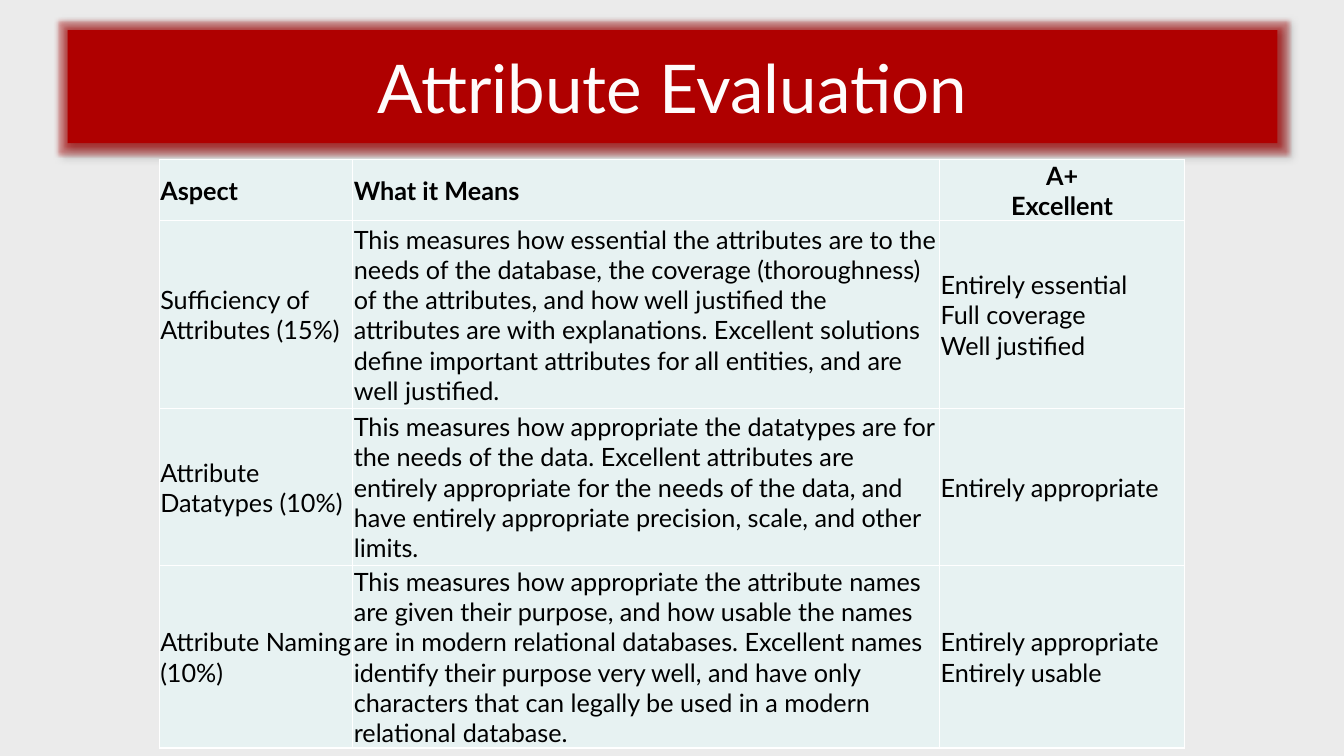
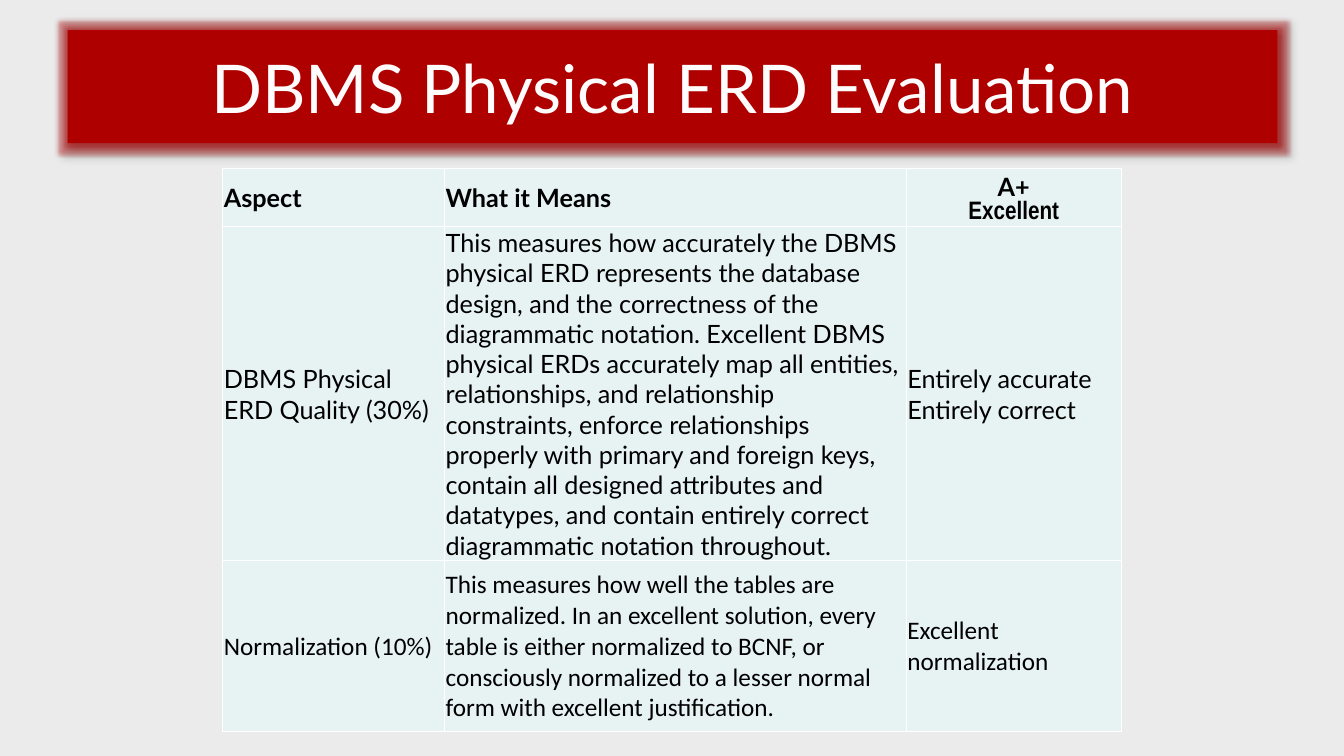
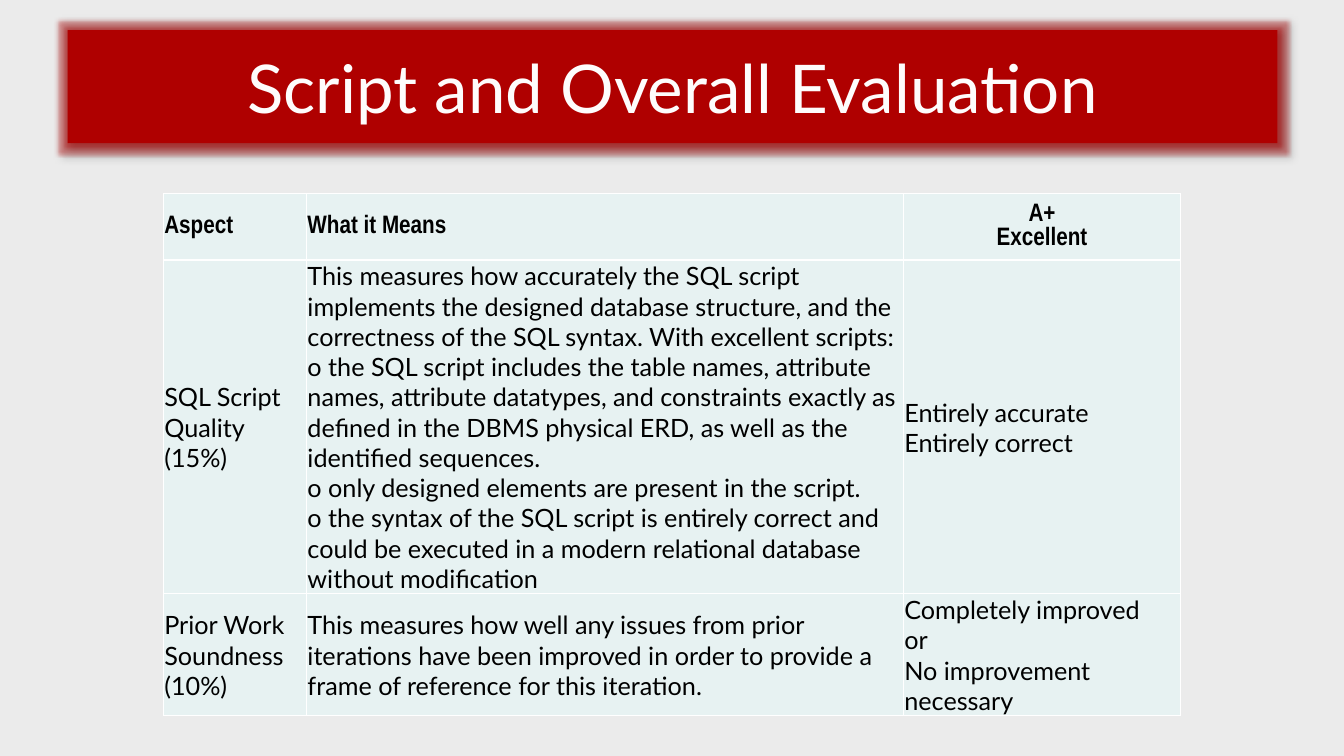
from dataclasses import dataclass

from lxml.etree import SubElement
from pptx import Presentation
from pptx.dml.color import RGBColor
from pptx.enum.shapes import MSO_SHAPE
from pptx.enum.text import MSO_ANCHOR, PP_ALIGN
from pptx.oxml.ns import qn
from pptx.presentation import Presentation as Deck
from pptx.slide import Slide
from pptx.table import _Cell as Cell
from pptx.util import Inches, Pt

BACKGROUND = RGBColor(0xEB, 0xEB, 0xEB)
BAND_RED = RGBColor(0xAF, 0x00, 0x00)
TITLE_WHITE = RGBColor(0xFE, 0xFC, 0xFC)
CELL_TINT = RGBColor(0xE7, 0xF2, 0xF2)
BORDER_WHITE = RGBColor(0xFF, 0xFF, 0xFF)
BLACK = RGBColor(0x00, 0x00, 0x00)

MAIN_FONT = "Lato"
NARROW_FONT = "Arial Narrow"
PLAIN_FONT = "Calibri"


@dataclass(frozen=True)
class Line:
    """One paragraph; without a font it takes that of its row."""
    text: str
    font: str | None = None


@dataclass(frozen=True)
class Row:
    height: float
    cells: tuple[str | tuple[Line, ...], ...]
    font: str = MAIN_FONT


@dataclass(frozen=True)
class Rubric:
    """One slide: a title and a table whose first row is the header."""
    title: str
    left: float
    top: float
    height: float
    columns: tuple[float, ...]
    rows: tuple[Row, ...]


RUBRICS = (
    Rubric(
        "Attribute Evaluation", 1.58, 1.58, 5.84, (1.92, 5.82, 2.43),
        (
            Row(0.52, ("Aspect", "What it Means", "A+\nExcellent")),
            Row(1.86, (
                "Sufficiency of Attributes (15%)",
                "This measures how essential the attributes are to the needs of the "
                "database, the coverage (thoroughness) of the attributes, and how well "
                "justified the attributes are with explanations. Excellent solutions "
                "define important attributes for all entities, and are well justified.",
                "Entirely essential\nFull coverage\nWell justified",
            )),
            Row(1.56, (
                "Attribute Datatypes (10%)",
                "This measures how appropriate the datatypes are for the needs of the "
                "data. Excellent attributes are entirely appropriate for the needs of "
                "the data, and have entirely appropriate precision, scale, and other "
                "limits.",
                "Entirely appropriate",
            )),
            Row(1.81, (
                "Attribute Naming (10%)",
                "This measures how appropriate the attribute names are given their "
                "purpose, and how usable the names are in modern relational databases. "
                "Excellent names identify their purpose very well, and have only "
                "characters that can legally be used in a modern relational database.",
                "Entirely appropriate\nEntirely usable",
            )),
        ),
    ),
    Rubric(
        "DBMS Physical ERD Evaluation", 2.21, 1.67, 5.62, (2.2, 4.58, 2.13),
        (
            Row(0.58, ("Aspect", "What it Means",
                       (Line("A+"), Line("Excellent", NARROW_FONT)))),
            Row(2.06, (
                "DBMS Physical ERD Quality (30%)",
                "This measures how accurately the DBMS physical ERD represents the "
                "database design, and the correctness of the diagrammatic notation. "
                "Excellent DBMS physical ERDs accurately map all entities, "
                "relationships, and relationship constraints, enforce relationships "
                "properly with primary and foreign keys, contain all designed "
                "attributes and datatypes, and contain entirely correct diagrammatic "
                "notation throughout.",
                "Entirely accurate\nEntirely correct",
            )),
            Row(1.7, (
                "Normalization (10%)",
                "This measures how well the tables are normalized. In an excellent "
                "solution, every table is either normalized to BCNF, or consciously "
                "normalized to a lesser normal form with excellent justification.",
                "Excellent normalization",
            ), PLAIN_FONT),
        ),
    ),
    Rubric(
        "Script and Overall Evaluation", 1.62, 1.92, 5.18, (1.42, 5.92, 2.75),
        (
            Row(0.66, ("Aspect", "What it Means",
                       (Line("A+"), Line("Excellent"))), NARROW_FONT),
            Row(2.8, (
                "SQL Script Quality (15%)",
                "This measures how accurately the SQL script implements the designed "
                "database structure, and the correctness of the SQL syntax. With "
                "excellent scripts:\n"
                "o the SQL script includes the table names, attribute names, attribute "
                "datatypes, and constraints exactly as defined in the DBMS physical "
                "ERD, as well as the identified sequences.\n"
                "o only designed elements are present in the script.\n"
                "o the syntax of the SQL script is entirely correct and could be "
                "executed in a modern relational database without modification",
                "Entirely accurate\nEntirely correct",
            )),
            Row(0.93, (
                "Prior Work Soundness (10%)",
                "This measures how well any issues from prior iterations have been "
                "improved in order to provide a frame of reference for this iteration.",
                "Completely improved\nor\nNo improvement necessary",
            )),
        ),
    ),
)


def add_effect(effects, kind: str, color: RGBColor, alpha: int, **settings: str) -> None:
    effect = SubElement(effects, qn(f"a:{kind}"), **settings)
    tint = SubElement(effect, qn("a:srgbClr"), val=str(color))
    SubElement(tint, qn("a:alpha"), val=str(alpha * 1000))


def add_title_band(page: Slide, title: str) -> None:
    band = page.shapes.add_shape(
        MSO_SHAPE.RECTANGLE, Inches(0.67), Inches(0.3), Inches(12), Inches(1.12))
    band.fill.solid()
    band.fill.fore_color.rgb = BAND_RED
    band.line.fill.background()

    # Red glow and soft shadow
    band.shadow.inherit = False
    effects = band._element.spPr.find(qn("a:effectLst"))
    add_effect(effects, "glow", BAND_RED, 40, rad=str(Pt(5)))
    add_effect(effects, "outerShdw", BLACK, 40, blurRad=str(Pt(4)),
               dist=str(Pt(3)), dir=str(45 * 60000), rotWithShape="0")

    frame = band.text_frame
    frame.word_wrap = False
    frame.vertical_anchor = MSO_ANCHOR.MIDDLE
    para = frame.paragraphs[0]
    para.text = title
    para.alignment = PP_ALIGN.CENTER
    para.font.name = MAIN_FONT
    para.font.size = Pt(48)
    para.font.color.rgb = TITLE_WHITE


def style_cell(cell: Cell) -> None:
    cell.margin_left = cell.margin_right = cell.margin_top = Inches(0.01)
    cell.margin_bottom = Inches(0)
    cell.vertical_anchor = MSO_ANCHOR.MIDDLE
    properties = cell._tc.get_or_add_tcPr()
    for side in ("lnL", "lnR", "lnT", "lnB"):
        border = SubElement(properties, qn(f"a:{side}"), w=str(Pt(1)))
        paint = SubElement(border, qn("a:solidFill"))
        SubElement(paint, qn("a:srgbClr"), val=str(BORDER_WHITE))
    cell.fill.solid()
    cell.fill.fore_color.rgb = CELL_TINT


def write_cell(cell: Cell, content: str | tuple[Line, ...], font: str,
               bold: bool, alignment: PP_ALIGN) -> None:
    lines = (Line(content),) if isinstance(content, str) else content
    frame = cell.text_frame
    for index, line in enumerate(lines):
        para = frame.add_paragraph() if index else frame.paragraphs[0]
        para.text = line.text
        para.alignment = alignment
        para.font.name = line.font or font
        para.font.size = Pt(18)
        para.font.bold = bold
        para.font.color.rgb = BLACK


def add_rubric_table(page: Slide, rubric: Rubric) -> None:
    table = page.shapes.add_table(
        len(rubric.rows), len(rubric.columns), Inches(rubric.left), Inches(rubric.top),
        Inches(sum(rubric.columns)), Inches(rubric.height)).table
    table.first_row = table.horz_banding = False
    for column, width in zip(table.columns, rubric.columns):
        column.width = Inches(width)
    last_column = len(rubric.columns) - 1
    for row_index, row in enumerate(rubric.rows):
        table.rows[row_index].height = Inches(row.height)
        is_header = row_index == 0
        for column_index, content in enumerate(row.cells):
            cell = table.cell(row_index, column_index)
            style_cell(cell)
            centred = is_header and column_index == last_column
            write_cell(cell, content, row.font, is_header,
                       PP_ALIGN.CENTER if centred else PP_ALIGN.LEFT)


def add_rubric_page(deck: Deck, rubric: Rubric) -> None:
    page = deck.slides.add_slide(deck.slide_layouts[6])
    page.background.fill.solid()
    page.background.fill.fore_color.rgb = BACKGROUND
    add_title_band(page, rubric.title)
    add_rubric_table(page, rubric)


def main() -> None:
    deck = Presentation()
    deck.slide_width = Inches(13.33)
    deck.slide_height = Inches(7.5)
    for rubric in RUBRICS:
        add_rubric_page(deck, rubric)
    deck.save("out.pptx")


if __name__ == "__main__":
    main()
